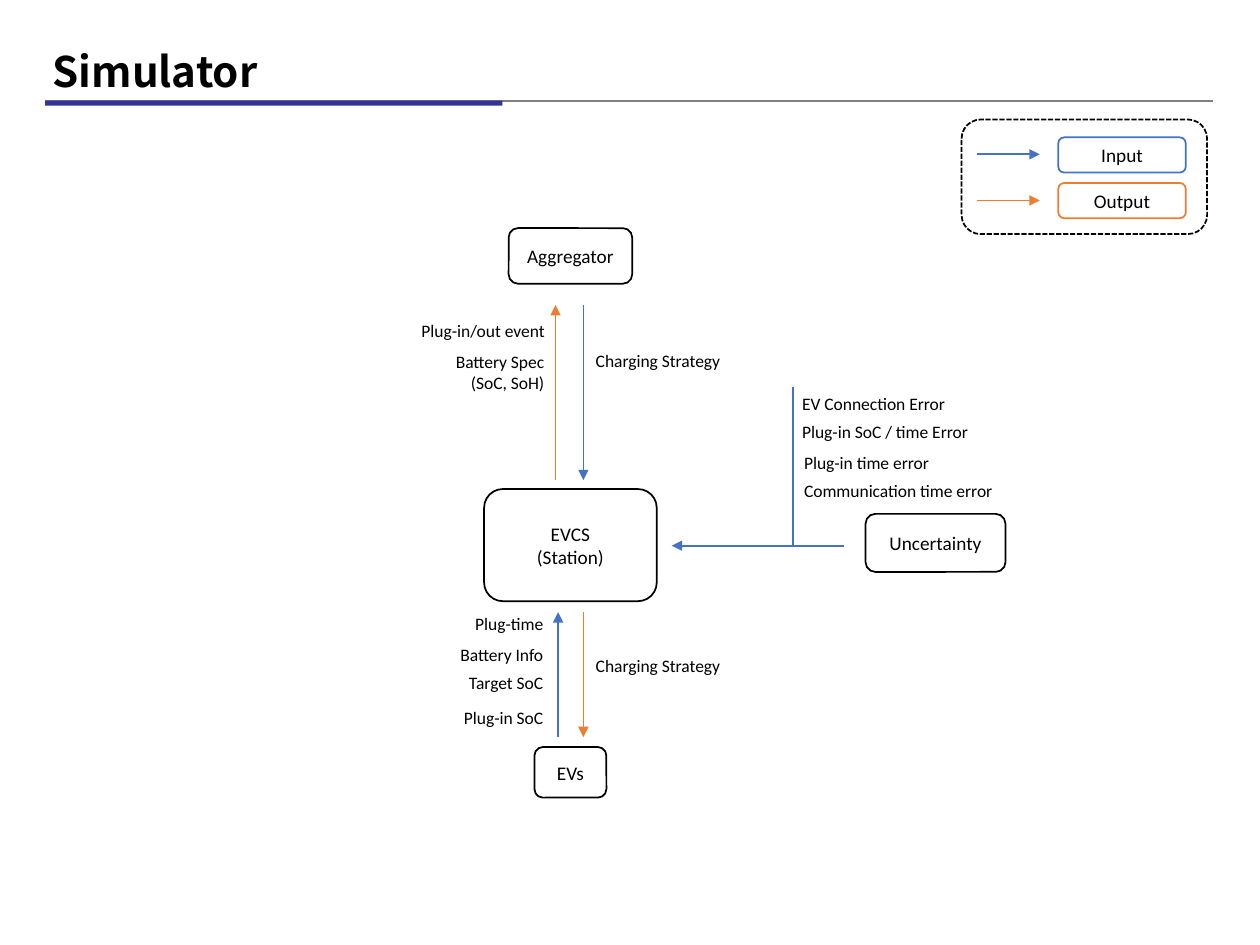
from pptx import Presentation
from pptx.dml.color import RGBColor
from pptx.enum.dml import MSO_LINE
from pptx.enum.shapes import MSO_CONNECTOR, MSO_SHAPE
from pptx.enum.text import MSO_ANCHOR, PP_ALIGN
from pptx.oxml.ns import qn
from pptx.util import Cm, Pt
from lxml import etree

ROUND, RECT = MSO_SHAPE.ROUNDED_RECTANGLE, MSO_SHAPE.RECTANGLE
STRAIGHT, DASH = MSO_CONNECTOR.STRAIGHT, MSO_LINE.SQUARE_DOT
LEFT, CENTER, RIGHT = PP_ALIGN.LEFT, PP_ALIGN.CENTER, PP_ALIGN.RIGHT
TOP, MIDDLE = MSO_ANCHOR.TOP, MSO_ANCHOR.MIDDLE

THEME = {
    "ink": RGBColor(0x00, 0x00, 0x00),
    "input": RGBColor(0x44, 0x72, 0xC4),
    "output": RGBColor(0xED, 0x7D, 0x31),
    "rule": RGBColor(0x80, 0x80, 0x80),
    "bar": RGBColor(0x33, 0x33, 0x99),
    "font": "Calibri",
    "title_font": "Noto Sans CJK KR",
    "title": Pt(24),
    "node": Pt(11),
    "label": Pt(10),
    "line": Pt(1),
}

prs = Presentation()
prs.slide_width, prs.slide_height = Cm(25.4), Cm(19.05)
s = prs.slides.add_slide(prs.slide_layouts[6])


def write(sp, lines, size, align, anchor, font=THEME["font"], bold=False):
    """Fill a shape or text box with one paragraph per line."""
    tf = sp.text_frame
    tf.word_wrap = True
    tf.vertical_anchor = anchor
    for i, line in enumerate(lines):
        p = tf.add_paragraph() if i else tf.paragraphs[0]
        p.alignment = align
        r = p.add_run()
        r.text = line
        r.font.name, r.font.size, r.font.bold = font, size, bold
        r.font.color.rgb = THEME["ink"]
        if font != THEME["font"]:
            ea = etree.SubElement(r.font._element, qn("a:ea"))
            ea.set("typeface", font)


def connect(x1, y1, x2, y2, color, arrow=True):
    """Draw a straight line, with an arrowhead at its end if wanted."""
    c = s.shapes.add_connector(STRAIGHT, Cm(x1), Cm(y1), Cm(x2), Cm(y2))
    c.line.color.rgb, c.line.width = THEME[color], THEME["line"]
    if arrow:
        etree.SubElement(c.line._get_or_add_ln(), qn("a:tailEnd"), type="triangle")
    etree.SubElement(c._element.spPr, qn("a:effectLst"))


# Title and its rule
connect(0.91, 2.03, 24.46, 2.03, "rule", arrow=False)
bar = s.shapes.add_shape(RECT, Cm(0.91), Cm(2.03), Cm(9.22), Cm(0.1))
bar.shadow.inherit = False
bar.fill.solid()
bar.fill.fore_color.rgb = THEME["bar"]
bar.line.fill.background()
title = s.shapes.add_textbox(Cm(0.81), Cm(0.91), Cm(22.86), Cm(1.17))
write(title, ["Simulator"], THEME["title"], LEFT, MIDDLE, THEME["title_font"], True)
title.text_frame.paragraphs[0].line_spacing = 0.9

# Nodes and legend boxes: centre x, top, width, height, outline, lines
HUB_X, LEGEND_X = 11.5, 22.62
boxes = [
    (HUB_X, 4.6, 2.49, 1.12, "ink", ["Aggregator"]),
    (HUB_X, 9.86, 3.48, 2.26, "ink", ["EVCS", "(Station)"]),
    (HUB_X, 15.06, 1.45, 1.02, "ink", ["EVs"]),
    (18.86, 10.36, 2.82, 1.17, "ink", ["Uncertainty"]),
    (LEGEND_X, 2.77, 2.57, 0.71, "input", ["Input"]),
    (LEGEND_X, 3.69, 2.57, 0.71, "output", ["Output"]),
    (21.86, 2.41, 4.95, 2.31, "ink", []),
]
for cx, y, w, h, color, lines in boxes:
    sp = s.shapes.add_shape(ROUND, Cm(cx - w / 2), Cm(y), Cm(w), Cm(h))
    sp.shadow.inherit = False
    sp.fill.background()
    sp.line.color.rgb, sp.line.width = THEME[color], THEME["line"]
    if lines:
        write(sp, lines, THEME["node"], CENTER, MIDDLE)
    else:
        sp.line.dash_style = DASH

# Flows between nodes, and legend arrows
DOWN_X = 11.76
for flow in [
    (11.2, 9.68, 11.2, 6.15, "output"),
    (DOWN_X, 6.15, DOWN_X, 9.68, "input"),
    (11.25, 14.86, 11.25, 12.34, "input"),
    (DOWN_X, 12.34, DOWN_X, 14.86, "output"),
    (17.02, 11, 13.54, 11, "input"),
    (19.69, 3.11, 20.96, 3.11, "input"),
    (19.69, 4.04, 20.96, 4.04, "output"),
]:
    connect(*flow)
connect(15.98, 11, 15.98, 7.8, "input", arrow=False)

# Flow labels: anchored edge x, top, alignment, lines
LABEL_W = 4.4
labels = [
    (11.23, 6.32, RIGHT, ["Plug-in/out event"]),
    (11.22, 6.96, RIGHT, ["Battery Spec", "(SoC, SoH)"]),
    (11.2, 12.24, RIGHT, ["Plug-time"]),
    (11.2, 12.86, RIGHT, ["Battery Info"]),
    (11.2, 13.43, RIGHT, ["Target SoC"]),
    (11.2, 14.12, RIGHT, ["Plug-in SoC"]),
    (DOWN_X, 6.93, LEFT, ["Charging Strategy"]),
    (DOWN_X, 13.08, LEFT, ["Charging Strategy"]),
    (15.92, 7.8, LEFT, ["EV Connection Error"]),
    (15.92, 8.37, LEFT, ["Plug-in SoC / time Error"]),
    (15.96, 8.99, LEFT, ["Plug-in time error"]),
    (15.96, 9.55, LEFT, ["Communication time error"]),
]
for edge, y, align, lines in labels:
    x = edge - LABEL_W if align == RIGHT else edge
    h = 0.26 + 0.43 * len(lines)
    tb = s.shapes.add_textbox(Cm(x), Cm(y), Cm(LABEL_W), Cm(h))
    write(tb, lines, THEME["label"], align, TOP)

prs.save("out.pptx")
